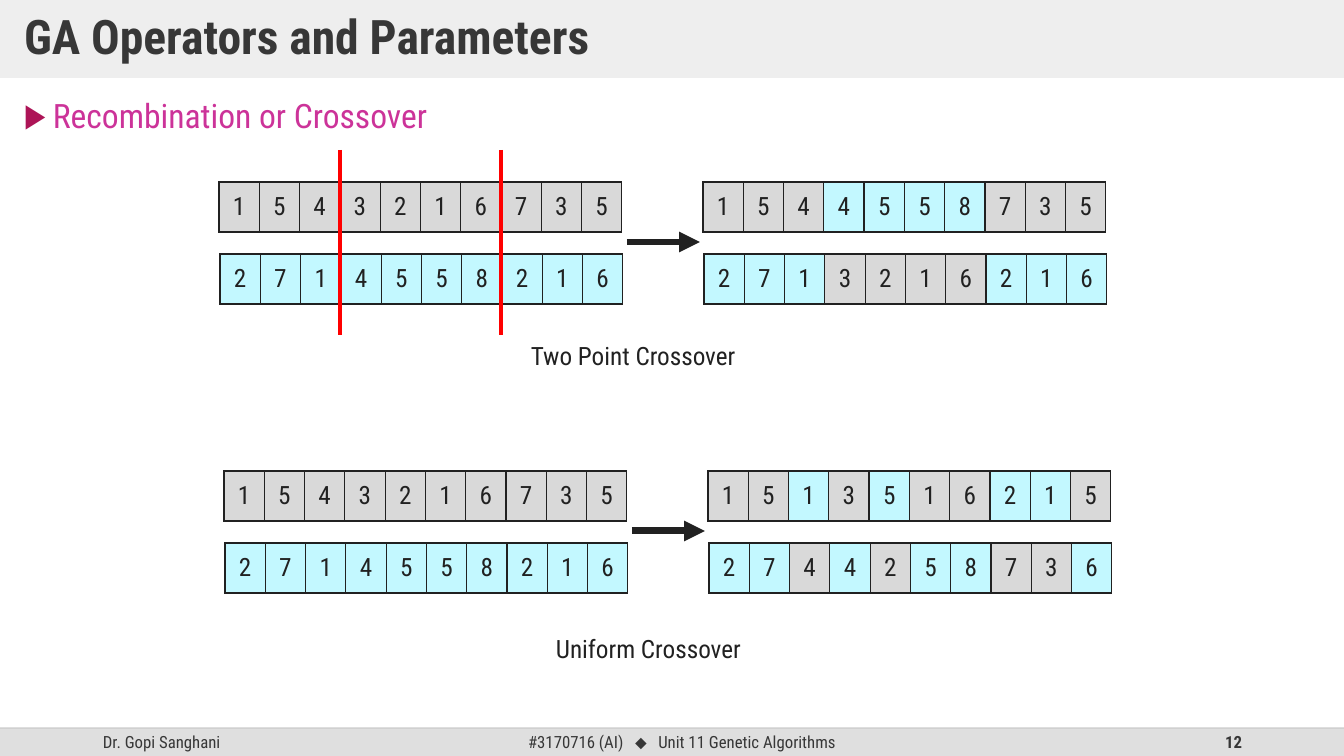
import dataclasses
import lxml.etree
import pptx
import pptx.dml.color
import pptx.enum.shapes
import pptx.enum.text
import pptx.oxml.ns
import pptx.util

qn = pptx.oxml.ns.qn
rgb = pptx.dml.color.RGBColor.from_string
Align = pptx.enum.text.PP_ALIGN
Anchor = pptx.enum.text.MSO_ANCHOR


@dataclasses.dataclass(frozen=True)
class Theme:
    font: str = "Roboto Condensed"
    symbol_font: str = "Arial"
    ink: str = "212121"
    heading: str = "373737"
    topic: str = "CC3399"
    bullet: str = "AD1457"
    band: str = "DFDFDF"
    rule: str = "BFBFBF"
    cut: str = "FF0000"
    first_parent: str = "D9D9D9"
    second_parent: str = "C3F8FF"
    title_size: int = 34
    topic_size: int = 24
    body_size: int = 18
    footer_size: int = 12


def px(count):
    return round(count * 914400 / 100.8)


def child(parent, tag, **attributes):
    return lxml.etree.SubElement(parent, qn(tag), **attributes)


def write(paragraph, text, *, font, size, color, bold=False, spacing=0):
    run = paragraph.add_run()
    run.text = text
    run.font.name = font
    run.font.size = pptx.util.Pt(size)
    run.font.bold = bold
    run.font.color.rgb = rgb(color)
    if spacing:
        run.font._element.set("spc", str(spacing))


class SlideBuilder:
    def __init__(self, slide, theme):
        self.slide = slide
        self.theme = theme

    def fade(self, shape, percent):
        color = next(shape.element.iter(qn("a:srgbClr")))
        child(color, "a:alpha", val=str(percent * 1000))

    def band(self, left, top, width, height):
        band = self.slide.shapes.add_shape(
            pptx.enum.shapes.MSO_SHAPE.RECTANGLE, px(left), px(top), px(width), px(height))
        band.shadow.inherit = False
        band.fill.solid()
        band.fill.fore_color.rgb = rgb(self.theme.band)
        band.line.fill.background()
        return band

    def line(self, start, end, color, weight, arrow=False):
        line = self.slide.shapes.add_connector(
            pptx.enum.shapes.MSO_CONNECTOR.STRAIGHT, *map(px, start + end))
        line.line.color.rgb = rgb(color)
        line.line.width = pptx.util.Pt(weight)
        if arrow:
            child(line.line._get_or_add_ln(), "a:tailEnd", type="triangle")
        child(line.element.spPr, "a:effectLst")
        return line

    def text_box(self, left, top, width, height, align=Align.LEFT,
                 anchor=Anchor.TOP, wrap=True):
        box = self.slide.shapes.add_textbox(px(left), px(top), px(width), px(height))
        frame = box.text_frame
        frame.word_wrap = wrap
        frame.vertical_anchor = anchor
        if not wrap:
            frame.auto_size = pptx.enum.text.MSO_AUTO_SIZE.SHAPE_TO_FIT_TEXT
        paragraph = frame.paragraphs[0]
        paragraph.alignment = align
        return paragraph

    def title(self, text):
        theme = self.theme
        header = self.band(0, 0, 1344, 78)
        self.fade(header, 50)
        frame = header.text_frame
        frame.word_wrap = True
        frame.vertical_anchor = Anchor.MIDDLE
        frame.margin_left = frame.margin_right = px(24)
        frame.margin_top = frame.margin_bottom = px(12)
        paragraph = frame.paragraphs[0]
        paragraph.alignment = Align.LEFT
        paragraph.line_spacing = 0.9
        write(paragraph, text, font=theme.font, size=theme.title_size,
              color=theme.heading, bold=True)

    def topic(self, text):
        theme = self.theme
        paragraph = self.text_box(14, 95, 1315, 616, Align.JUSTIFY)
        properties = paragraph._p.get_or_add_pPr()
        properties.set("marL", str(px(29)))
        properties.set("indent", str(-px(29)))
        child(child(properties, "a:buClr"), "a:srgbClr", val=theme.bullet)
        child(properties, "a:buFont", typeface=theme.symbol_font)
        child(properties, "a:buChar", char="▶")
        paragraph.line_spacing = 0.9
        write(paragraph, text, font=theme.font, size=theme.topic_size, color=theme.topic)

    def footer(self, author, course, unit, number):
        theme = self.theme
        style = dict(size=theme.footer_size, color=theme.heading)
        self.band(0, 728, 1344, 28)
        write(self.text_box(93, 728, 302, 28, anchor=Anchor.MIDDLE), author,
              font=theme.font, **style)
        center = self.text_box(446, 728, 472, 28, Align.CENTER, Anchor.MIDDLE)
        write(center, course, font=theme.font, **style)
        write(center, " ", font=theme.font, spacing=540, **style)
        write(center, "⬥", font=theme.symbol_font, **style)
        write(center, " ", font=theme.font, spacing=540, **style)
        write(center, unit, font=theme.font, **style)
        write(self.text_box(950, 728, 302, 28, Align.RIGHT, Anchor.MIDDLE), number,
              font=theme.font, bold=True, **style)
        self.fade(self.line((0, 728), (1344, 728), theme.rule, 1), 70)

    def chromosome(self, left, top, genes):
        theme = self.theme
        table = self.slide.shapes.add_table(
            1, len(genes), px(left), px(top), px(403), px(50)).table
        table.first_row = table.horz_banding = False
        for cell, (gene, color) in zip(table.iter_cells(), genes):
            cell.vertical_anchor = Anchor.MIDDLE
            properties = cell._tc.get_or_add_tcPr()
            for side in ("a:lnL", "a:lnR", "a:lnT", "a:lnB"):
                border = child(properties, side, w=str(pptx.util.Pt(1)))
                child(child(border, "a:solidFill"), "a:srgbClr", val=theme.ink)
            cell.fill.solid()
            cell.fill.fore_color.rgb = rgb(color)
            paragraph = cell.text_frame.paragraphs[0]
            paragraph.alignment = Align.CENTER
            write(paragraph, gene, font=theme.font, size=theme.body_size, color=theme.ink)

    def crossover(self, left, top, swapped):
        theme = self.theme
        first = [(gene, theme.first_parent) for gene in "1543216735"]
        second = [(gene, theme.second_parent) for gene in "2714558216"]
        pairs = list(zip(first, second))
        offspring = [pair[::-1] if place in swapped else pair
                     for place, pair in enumerate(pairs)]
        for column, couples in enumerate((pairs, offspring)):
            for row, genes in enumerate(zip(*couples)):
                self.chromosome(left + 484 * column + row, top + 72 * row, genes)
        self.line((left + 408, top + 60), (left + 481, top + 60), theme.ink, 5, arrow=True)

    def caption(self, left, top, width, text):
        theme = self.theme
        write(self.text_box(left, top, width, 40, wrap=False), text,
              font=theme.font, size=theme.body_size, color=theme.ink)


def main():
    deck = pptx.Presentation()
    deck.slide_width, deck.slide_height = px(1344), px(756)
    theme = Theme()
    builder = SlideBuilder(deck.slides.add_slide(deck.slide_layouts[6]), theme)
    builder.footer("Dr. Gopi Sanghani", "#3170716 (AI)", "Unit 11 Genetic Algorithms", "12")
    builder.title("GA Operators and Parameters")
    builder.topic("Recombination or Crossover")
    builder.crossover(219, 182, swapped={3, 4, 5, 6})
    for cut in (340, 501):
        builder.line((cut, 150), (cut, 335), theme.cut, 3)
    builder.caption(521, 335, 235, "Two Point Crossover")
    builder.crossover(224, 471, swapped={2, 4, 7, 8})
    builder.caption(546, 628, 206, "Uniform Crossover")
    deck.save("out.pptx")


if __name__ == "__main__":
    main()
